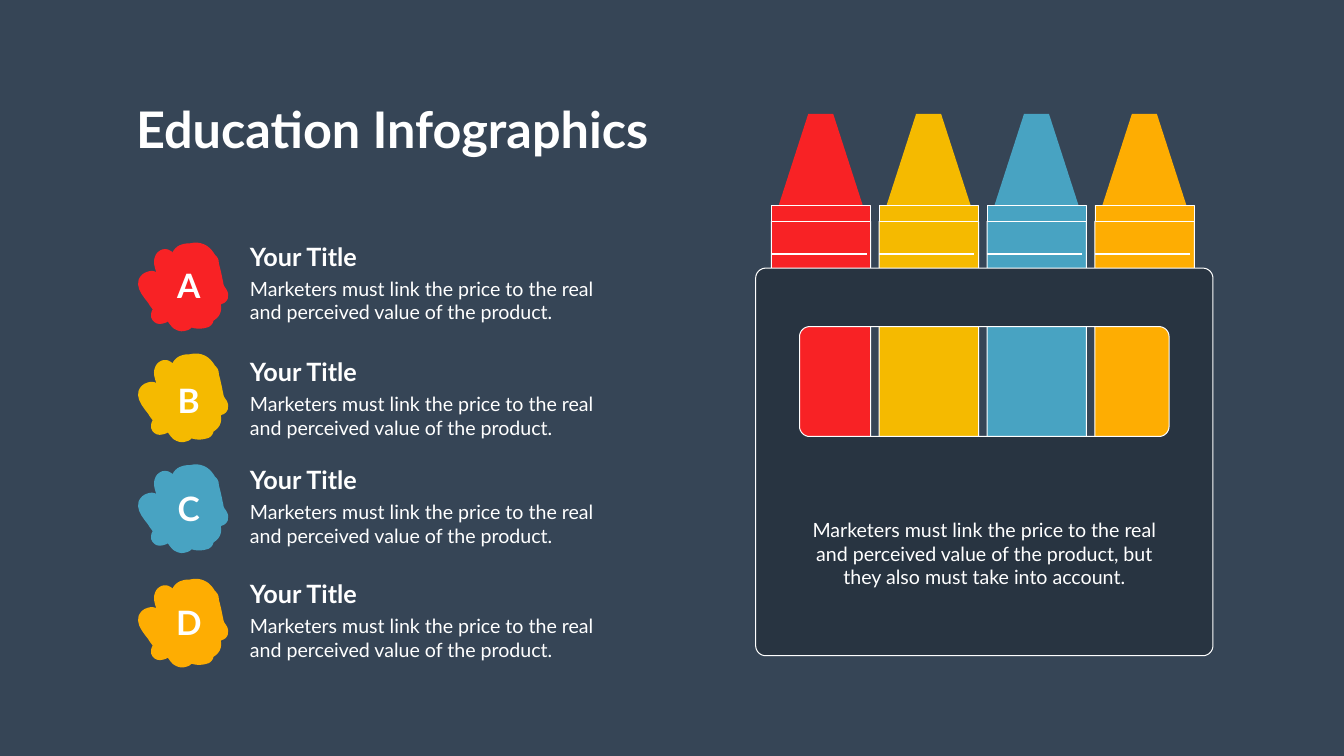
from dataclasses import dataclass
from math import cos, pi, sin

from lxml.etree import SubElement
from pptx import Presentation
from pptx.dml.color import RGBColor
from pptx.enum.shapes import MSO_CONNECTOR, MSO_SHAPE
from pptx.enum.text import MSO_AUTO_SIZE, PP_ALIGN
from pptx.oxml.ns import qn
from pptx.shapes.autoshape import Shape
from pptx.util import Emu, Pt

PX = 9144  # EMU per px, 100 px to the inch
FONT = "Lato"
THIN, OUTLINE = 0.75, 1.45
COLORS = {
    "background": "364556",
    "box": "283441",
    "white": "FFFFFF",
    "red": "F82225",
    "yellow": "F5BA00",
    "blue": "48A3C2",
    "orange": "FEAD02",
}
ITEM_TEXT = "Marketers must link the price to the real and perceived value of the product."
BOX_TEXT = ("Marketers must link the price to the real and perceived value "
            "of the product, but they also must take into account.")

# Paint blot: start point, then cubic curves (two controls and an end point)
BLOT_START = (182, 111)
BLOT_CURVES = [
    (182, 112, 182, 112, 182, 113), (180, 119, 175, 123, 170, 124),
    (169, 125, 169, 125, 168, 125), (169, 131, 169, 137, 167, 142),
    (165, 148, 160, 153, 154, 157), (153, 158, 153, 159, 153, 160),
    (150, 166, 146, 170, 140, 171), (130, 174, 120, 174, 110, 171),
    (107, 174, 104, 176, 99, 177), (91, 180, 83, 178, 75, 173),
    (71, 170, 67, 165, 63, 159), (60, 161, 57, 162, 53, 163),
    (43, 166, 33, 161, 30, 151), (29, 145, 30, 139, 33, 135),
    (30, 131, 26, 126, 24, 122), (12, 107, 0, 92, 5, 76),
    (7, 72, 11, 63, 23, 60), (29, 58, 35, 58, 40, 61),
    (35, 47, 34, 37, 38, 29), (40, 23, 46, 18, 52, 16),
    (57, 15, 63, 15, 67, 18), (69, 19, 71, 20, 72, 22),
    (76, 14, 83, 8, 91, 6), (97, 4, 101, 4, 106, 4),
    (121, 0, 132, 4, 139, 8), (146, 12, 152, 19, 156, 26),
    (159, 29, 162, 32, 163, 36), (164, 38, 164, 41, 164, 43),
    (167, 54, 170, 67, 172, 78), (173, 81, 173, 84, 174, 87),
    (175, 89, 176, 91, 177, 92), (181, 98, 184, 103, 182, 111),
]

Points = list[tuple[float, float]]


@dataclass(frozen=True)
class Item:
    letter: str
    color: str
    blot_top: int
    text_top: int


@dataclass(frozen=True)
class Box:
    left: int
    top: int
    width: int
    height: int

    def emu(self) -> list[Emu]:
        return [Emu(n * PX) for n in (self.left, self.top, self.width, self.height)]


ITEMS = [
    Item("A", "red", 479, 473),
    Item("B", "yellow", 699, 702),
    Item("C", "blue", 919, 916),
    Item("D", "orange", 1146, 1143),
]


def rgb(name: str) -> RGBColor:
    return RGBColor.from_string(COLORS[name])


def paint(shape: Shape, fill: str, line_width: float = 0) -> None:
    shape.shadow.inherit = False
    shape.fill.solid()
    shape.fill.fore_color.rgb = rgb(fill)
    if line_width:
        shape.line.color.rgb = rgb("white")
        shape.line.width = Pt(line_width)
    else:
        shape.line.fill.background()


def add_preset(shapes, kind: MSO_SHAPE, box: Box, fill: str, line_width: float = 0) -> Shape:
    shape = shapes.add_shape(kind, *box.emu())
    paint(shape, fill, line_width)
    return shape


def add_outline(shapes, contours: list[Points], fill: str, line_width: float = 0) -> None:
    scaled = [[(x * PX, y * PX) for x, y in contour] for contour in contours]
    builder = shapes.build_freeform(*scaled[0][0], scale=1.0)
    builder.add_line_segments(scaled[0][1:], close=True)
    for contour in scaled[1:]:
        builder.move_to(*contour[0])
        builder.add_line_segments(contour[1:], close=True)
    paint(builder.convert_to_shape(), fill, line_width)


def blot_points(left: int, top: int, steps: int = 5) -> Points:
    x0, y0 = BLOT_START
    points = [(left + x0, top + y0)]
    for x1, y1, x2, y2, x3, y3 in BLOT_CURVES:
        for step in range(1, steps + 1):
            t = step / steps
            a, b, c, d = (1 - t) ** 3, 3 * t * (1 - t) ** 2, 3 * t * t * (1 - t), t ** 3
            points.append((left + a * x0 + b * x1 + c * x2 + d * x3,
                           top + a * y0 + b * y1 + c * y2 + d * y3))
        x0, y0 = x3, y3
    return points


def rounded_points(box: Box, radius: int = 20, steps: int = 8) -> Points:
    right, bottom = box.left + box.width - radius, box.top + box.height - radius
    left, top = box.left + radius, box.top + radius
    points = []
    for quarter, (x, y) in enumerate([(right, bottom), (left, bottom), (left, top), (right, top)]):
        for step in range(steps + 1):
            angle = (quarter + step / steps) * pi / 2
            points.append((x + radius * cos(angle), y + radius * sin(angle)))
    return points


def add_text(shapes, box: Box, text: str, size: int, bold: bool = False,
             alignment: PP_ALIGN = PP_ALIGN.LEFT) -> None:
    frame = shapes.add_textbox(*box.emu()).text_frame
    frame.word_wrap = True
    frame.auto_size = MSO_AUTO_SIZE.SHAPE_TO_FIT_TEXT
    paragraph = frame.paragraphs[0]
    paragraph.text = text
    paragraph.alignment = alignment
    paragraph.font.name = FONT
    paragraph.font.size = Pt(size)
    paragraph.font.bold = bold
    paragraph.font.color.rgb = rgb("white")


def add_item(shapes, item: Item) -> None:
    add_outline(shapes, [blot_points(270, item.blot_top)], item.color)
    group = shapes.add_group_shape().shapes
    add_text(group, Box(486, item.text_top + 71, 733, 104), ITEM_TEXT, 28)
    add_text(group, Box(486, item.text_top, 527, 71), "Your Title", 36, True)
    add_text(group, Box(299, item.text_top + 47, 151, 91), item.letter, 48, True, PP_ALIGN.CENTER)


def add_crayon(shapes, left: int, color: str) -> None:
    tip = add_preset(shapes, MSO_SHAPE.TRAPEZOID, Box(left + 7, 226, 182, 205), color)
    tip.adjustments[0] = 0.364
    body = add_preset(shapes, MSO_SHAPE.ROUND_2_SAME_RECTANGLE,
                      Box(left, 439, 197, 835), color, OUTLINE)
    body.adjustments[0] = 0
    body.adjustments[1] = 0.05
    add_preset(shapes, MSO_SHAPE.RECTANGLE, Box(left, 407, 197, 33), color, THIN)
    stripe = shapes.add_connector(MSO_CONNECTOR.STRAIGHT, *[
        Emu(n * PX) for n in (left, 504, left + 189, 504)])
    stripe.line.color.rgb = rgb("white")
    stripe.line.width = Pt(OUTLINE)
    SubElement(stripe._element.spPr, qn("a:effectLst"))


def main() -> None:
    presentation = Presentation()
    presentation.slide_width, presentation.slide_height = Emu(2666 * PX), Emu(1500 * PX)
    slide = presentation.slides.add_slide(presentation.slide_layouts[6])
    slide.background.fill.solid()
    slide.background.fill.fore_color.rgb = rgb("background")
    shapes = slide.shapes

    # Title and lettered list
    add_text(shapes, Box(260, 189, 1132, 131), "Education Infographics", 72, True)
    for item in ITEMS:
        add_item(shapes, item)

    # Crayons standing in a box with a window
    for index, item in enumerate(ITEMS):
        add_crayon(shapes, 1530 + 214 * index, item.color)
    window = rounded_points(Box(1586, 648, 733, 218))
    add_outline(shapes, [rounded_points(Box(1499, 532, 907, 769)), window[::-1]], "box", OUTLINE)
    add_text(shapes, Box(1586, 1023, 733, 151), BOX_TEXT, 28, alignment=PP_ALIGN.CENTER)

    presentation.save("out.pptx")


if __name__ == "__main__":
    main()
